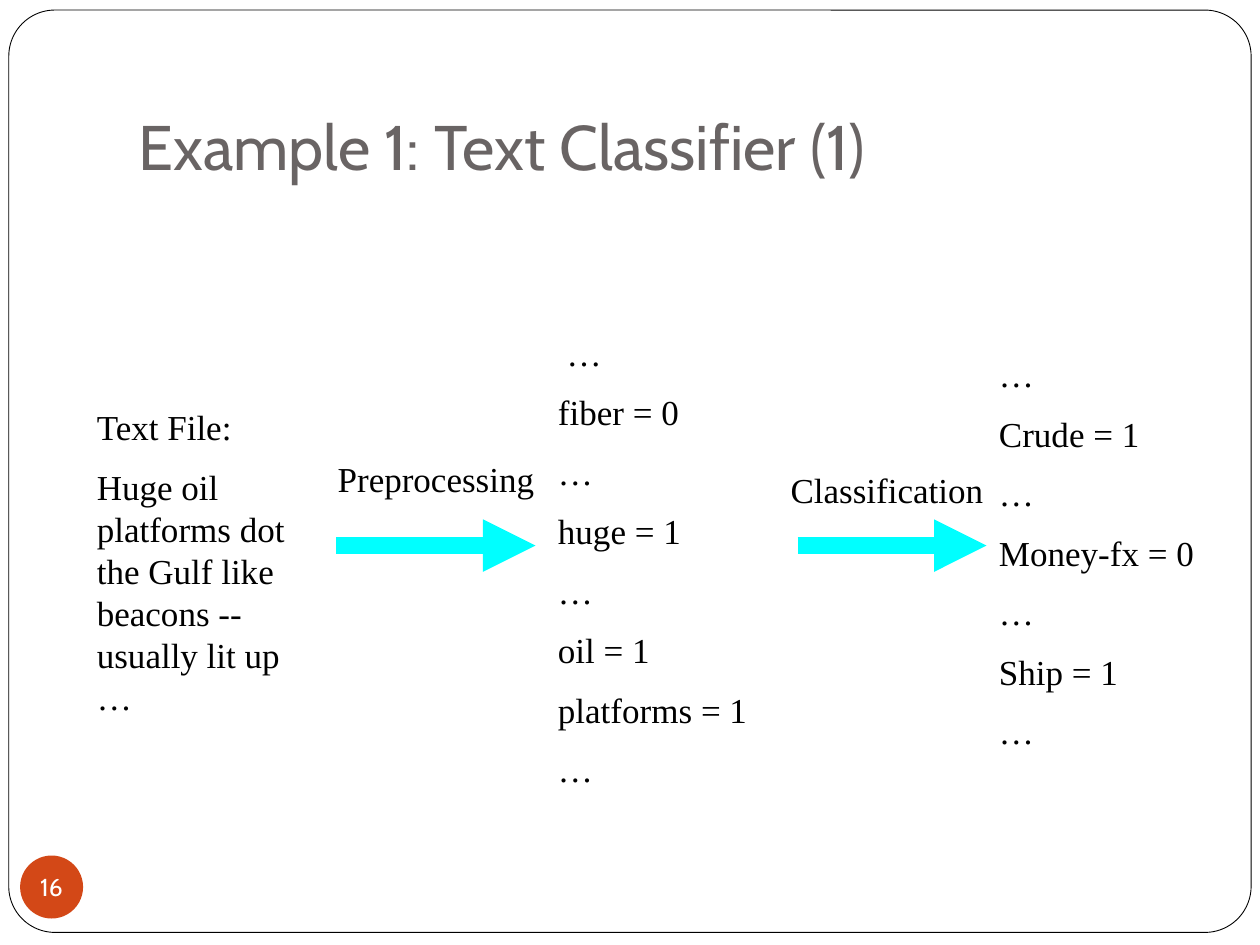
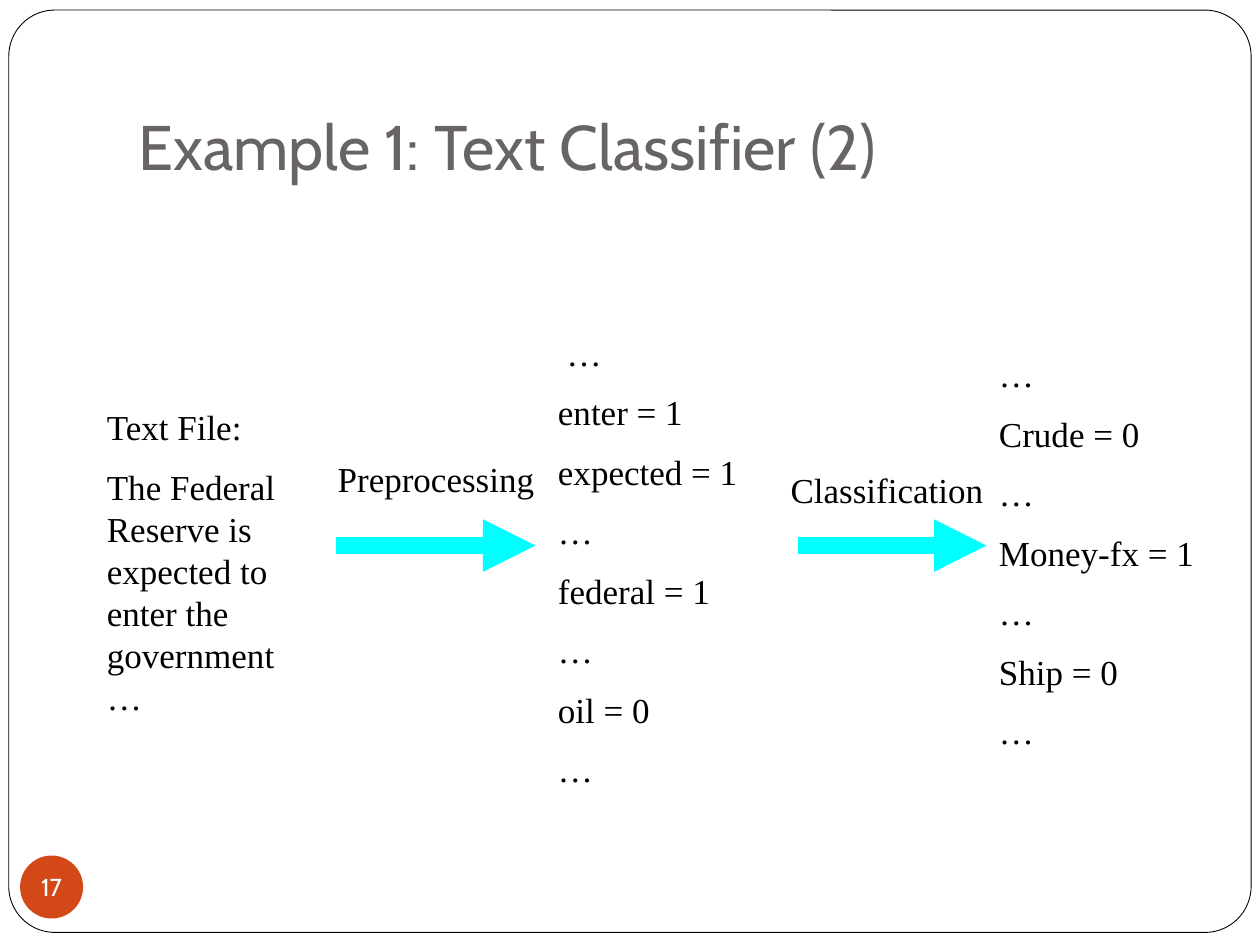
import pptx
import pptx.util
from lxml import etree
from pptx.dml.color import RGBColor
from pptx.enum.shapes import MSO_CONNECTOR, MSO_SHAPE
from pptx.enum.text import MSO_ANCHOR, MSO_AUTO_SIZE, PP_ALIGN
from pptx.oxml.ns import qn

EXAMPLES = [
    {
        "title": "Example 1: Text Classifier (1)",
        "number": 16,
        "file_left": 0.67,
        "file": ["Text File:",
                 "Huge oil platforms dot the Gulf like beacons -- usually lit up …"],
        "features": [" …", "fiber = 0", "…", "huge = 1", "…", "oil = 1",
                     "platforms = 1", "…"],
        "classes": ["…", "Crude = 1", "…", "Money-fx = 0", "…", "Ship = 1", "…"],
    },
    {
        "title": "Example 1: Text Classifier (2)",
        "number": 17,
        "file_left": 0.75,
        "file": ["Text File:",
                 "The Federal Reserve is expected to enter the government …"],
        "features": [" …", "enter = 1", "expected = 1", "…", "federal = 1", "…",
                     "oil = 0", "…"],
        "classes": ["…", "Crude = 0", "…", "Money-fx = 1", "…", "Ship = 0", "…"],
    },
]

# Each step: label, label left and top, arrow start and end
STEPS = [
    ("Preprocessing", 2.5, 3.58, 2.67, 4.25),
    ("Classification", 6.08, 3.67, 6.33, 7.83),
]
ARROW_Y = 4.33
COLUMN_WIDTH = 1.92
FILE_RIGHT = 2.58

COLORS = {"paper": "FFFFFF", "ink": "000000", "title": "696464",
          "badge": "D34817", "arrow": "00FFFF"}
FORMATS = {
    "title": {"size": pptx.util.Pt(36), "name": "Cabin"},
    "ink": {"size": pptx.util.Pt(20), "name": "Times New Roman"},
    "paper": {"size": pptx.util.Pt(14), "name": "Cabin"},
}


def rgb(name):
    return RGBColor.from_string(COLORS[name])


def inches(*lengths):
    return [pptx.util.Inches(length) for length in lengths]


def write(text_frame, lines, style, align=PP_ALIGN.LEFT):
    """Fill a frame with one paragraph per line; style names format and colour."""
    for index, line in enumerate(lines):
        para = text_frame.paragraphs[0] if index == 0 else text_frame.add_paragraph()
        para.alignment = align
        if index:
            para.space_before = pptx.util.Pt(10)
        span = para.add_run()
        span.text = line
        for key, value in FORMATS[style].items():
            setattr(span.font, key, value)
        span.font.color.rgb = rgb(style)


def set_margins(text_frame, left, top, right, bottom):
    sides = {"left": left, "top": top, "right": right, "bottom": bottom}
    for side, margin in sides.items():
        setattr(text_frame, f"margin_{side}", pptx.util.Inches(margin))


def add_column(page, place, lines, align=PP_ALIGN.LEFT):
    box = page.shapes.add_textbox(*inches(*place))
    box.text_frame.word_wrap = True
    box.text_frame.auto_size = MSO_AUTO_SIZE.SHAPE_TO_FIT_TEXT
    write(box.text_frame, lines, "ink", align)


def add_step(page, label, left, top, start, end):
    arrow = page.shapes.add_connector(
        MSO_CONNECTOR.STRAIGHT, *inches(start, ARROW_Y, end, ARROW_Y))
    arrow.line.color.rgb = rgb("arrow")
    arrow.line.width = pptx.util.Pt(10)
    etree.SubElement(arrow.line._get_or_add_ln(), qn("a:tailEnd"), type="triangle")
    etree.SubElement(arrow.element.spPr, qn("a:effectLst"))
    add_column(page, (left, top, COLUMN_WIDTH, 0.44), [label], PP_ALIGN.CENTER)


def add_badge(page, number):
    badge = page.shapes.add_shape(MSO_SHAPE.OVAL, *inches(0.16, 6.79, 0.5, 0.5))
    badge.shadow.inherit = False
    badge.fill.solid()
    badge.fill.fore_color.rgb = rgb("badge")
    badge.line.fill.background()
    set_margins(badge.text_frame, 0, 0, 0, 0)
    badge.text_frame.word_wrap = False
    badge.text_frame.vertical_anchor = MSO_ANCHOR.MIDDLE
    write(badge.text_frame, [str(number)], "paper", PP_ALIGN.CENTER)


def add_layout_frame(page):
    """Draw the rounded border and move it to the layout that pages share."""
    frame = page.shapes.add_shape(
        MSO_SHAPE.ROUNDED_RECTANGLE, *inches(0.07, 0.08, 9.86, 7.32))
    frame.adjustments[0] = 0.05
    frame.shadow.inherit = False
    frame.fill.solid()
    frame.fill.fore_color.rgb = rgb("paper")
    frame.line.color.rgb = rgb("ink")
    frame.line.width = pptx.util.Pt(0.5)
    page.slide_layout.placeholders[0].element.addprevious(frame.element)


def fill_page(page, example):
    title = page.shapes.title
    title.left, title.top, title.width, title.height = inches(1, 0.3, 8.5, 1.25)
    title.text_frame.vertical_anchor = MSO_ANCHOR.BOTTOM
    set_margins(title.text_frame, 0.1, 0.05, 0.1, 0.1)
    write(title.text_frame, [example["title"]], "title")

    file_left = example["file_left"]
    add_column(page, (4.33, 2.58, COLUMN_WIDTH, 3.97), example["features"])
    add_column(page, (7.83, 2.75, 1.83, 3.47), example["classes"])
    add_column(page, (file_left, 3.17, FILE_RIGHT - file_left, 2.29), example["file"])
    for step in STEPS:
        add_step(page, *step)
    add_badge(page, example["number"])


def main():
    deck = pptx.Presentation()
    deck.slide_width, deck.slide_height = inches(10, 7.5)
    title_only = deck.slide_layouts[5]
    for index, example in enumerate(EXAMPLES):
        page = deck.slides.add_slide(title_only)
        if index == 0:
            add_layout_frame(page)
        fill_page(page, example)
    deck.save("out.pptx")


if __name__ == "__main__":
    main()
